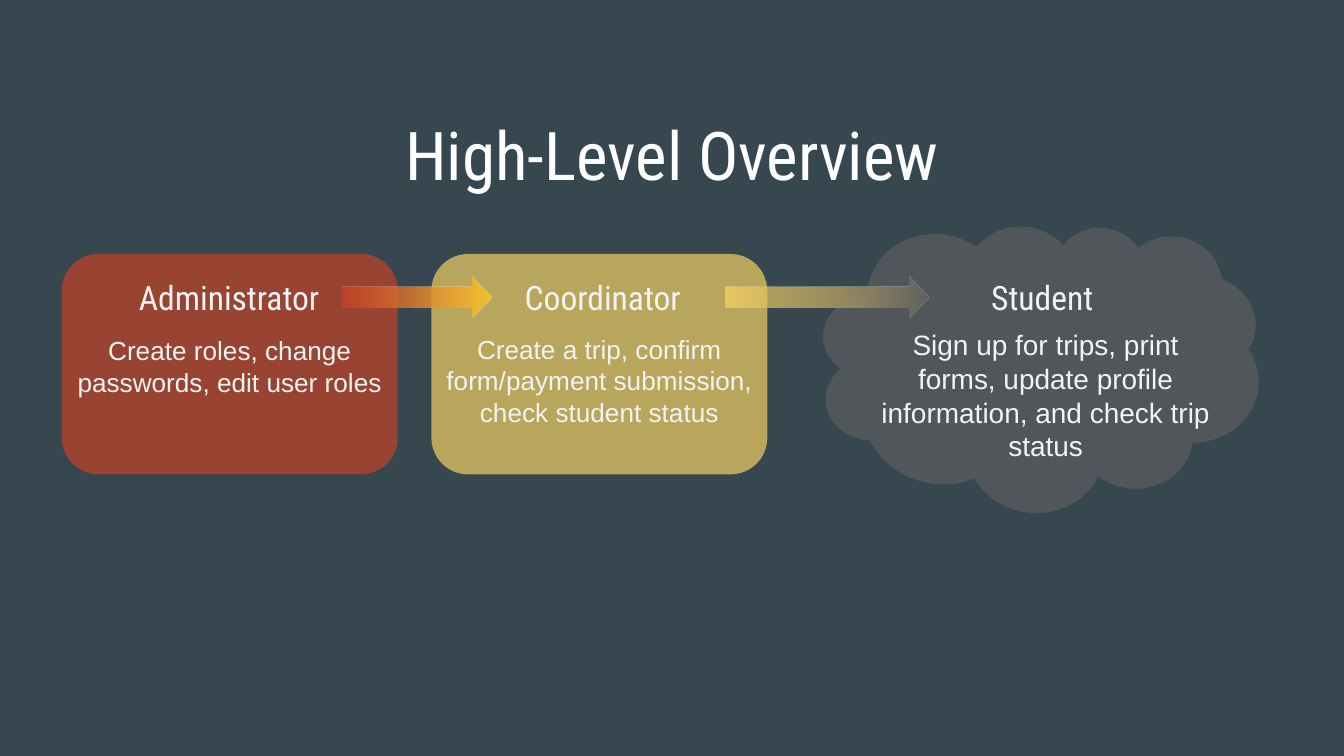
from lxml.etree import SubElement
from pptx import Presentation
from pptx.dml.color import RGBColor
from pptx.enum.shapes import MSO_SHAPE
from pptx.enum.text import MSO_ANCHOR, PP_ALIGN
from pptx.oxml.ns import qn
from pptx.util import Inches, Pt

WIDTH = 10
HEIGHT = WIDTH * 9 / 16
HEADING_FONT, BODY_FONT = "Roboto Condensed", "Arial"
WHITE, PALE = "FFFFFF", "F3F3F3"
RED, YELLOW, GOLD, GREY = "CC4125", "FFD966", "F1C232", "616161"
ROW_TOP, ROW_HEIGHT = 2.06, 0.3
LABEL_WIDTH = 2.29

TITLE = "High-Level Overview"
CARD = MSO_SHAPE.FLOWCHART_ALTERNATE_PROCESS
ROLES = [
    dict(name="Administrator", left=0.56, duty="Create roles, change passwords, edit user roles",
         duty_area=(0.46, 2.39, 2.5, 0.64), size=14,
         kind=CARD, area=(0.46, 1.89, 2.5, 1.64), color=RED, opacity=66, turn=0),
    dict(name="Coordinator", left=3.34,
         duty="Create a trip, confirm form/payment submission, check student status",
         duty_area=(3.21, 2.38, 2.5, 0.87), size=14,
         kind=CARD, area=(3.21, 1.89, 2.5, 1.64), color=YELLOW, opacity=65, turn=0),
    dict(name="Student", left=6.61,
         duty="Sign up for trips, print forms, update profile information, and check trip status",
         duty_area=(6.39, 2.34, 2.78, 0.64), size=15,
         kind=MSO_SHAPE.CLOUD, area=(6.11, 1.64, 3.26, 2.17), color=GREY, opacity=61, turn=6.8),
]
ARROWS = [(2.55, 1.11, RED, 66, GOLD), (5.4, 1.51, YELLOW, 65, GREY)]


def rgb(color):
    """Turn a hex string into a colour."""
    return RGBColor.from_string(color)


def set_opacity(shape, percent):
    """Make the first colour of a shape's fill partly transparent."""
    color = next(shape._element.spPr.iter(qn("a:srgbClr")))
    SubElement(color, qn("a:alpha")).set("val", str(percent * 1000))


def add_shape(page, kind, area):
    """Add a preset shape without line or shadow."""
    shape = page.shapes.add_shape(kind, *map(Inches, area))
    shape.shadow.inherit = False
    shape.line.fill.background()
    return shape


def add_text(page, text, area, *, size, font, color=PALE, anchor=MSO_ANCHOR.TOP):
    """Add a centred, wrapped text box."""
    box = page.shapes.add_textbox(*map(Inches, area))
    frame = box.text_frame
    frame.word_wrap = True
    frame.vertical_anchor = anchor
    frame.margin_left = frame.margin_right = Inches(0.1)
    frame.margin_top = frame.margin_bottom = Inches(0.1)
    para = frame.paragraphs[0]
    para.alignment = PP_ALIGN.CENTER
    span = para.add_run()
    span.text = text
    span.font.size = Pt(size)
    span.font.name = font
    span.font.color.rgb = rgb(color)


def add_panel(page, role):
    """Add the translucent panel behind a role."""
    panel = add_shape(page, role["kind"], role["area"])
    panel.rotation = role["turn"]
    panel.fill.solid()
    panel.fill.fore_color.rgb = rgb(role["color"])
    set_opacity(panel, role["opacity"])


def add_arrow(page, left, width, start, opacity, end):
    """Add an arrow that fades from one role's colour to the next."""
    arrow = add_shape(page, MSO_SHAPE.RIGHT_ARROW, (left, ROW_TOP, width, ROW_HEIGHT))
    arrow.fill.gradient()
    arrow.fill.gradient_angle = 0
    for stop, color, position in zip(arrow.fill.gradient_stops, (start, end), (0, 1)):
        stop.color.rgb = rgb(color)
        stop.position = position
    set_opacity(arrow, opacity)


def main():
    """Build the slide and save it."""
    deck = Presentation()
    deck.slide_width, deck.slide_height = Inches(WIDTH), Inches(HEIGHT)
    page = deck.slides.add_slide(deck.slide_layouts[6])
    page.background.fill.solid()
    page.background.fill.fore_color.rgb = rgb("37474F")

    add_text(page, TITLE, (0.34, 0.74, 9.32, 0.63), size=36, font=HEADING_FONT, color=WHITE)
    for role in reversed(ROLES):
        add_panel(page, role)
    for role in ROLES:
        add_text(page, role["name"], (role["left"], ROW_TOP, LABEL_WIDTH, ROW_HEIGHT),
                 size=18, font=HEADING_FONT, anchor=MSO_ANCHOR.MIDDLE)
        add_text(page, role["duty"], role["duty_area"], size=role["size"], font=BODY_FONT)
    for arrow in ARROWS:
        add_arrow(page, *arrow)
    deck.save("out.pptx")


if __name__ == "__main__":
    main()
